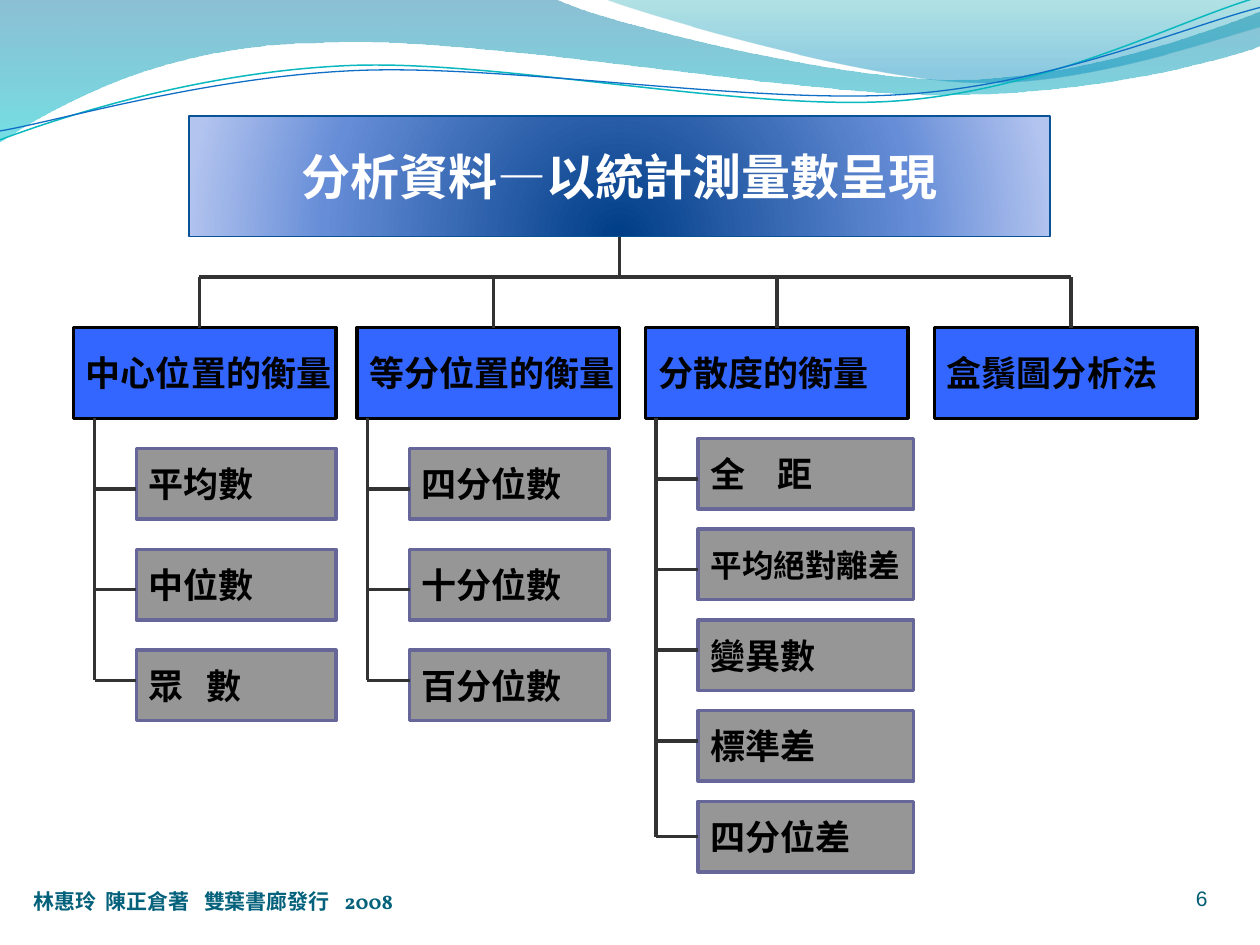
import math
import pptx
import pptx.util
import pptx.dml.color
import pptx.enum.shapes
import pptx.enum.text
import pptx.oxml
import pptx.oxml.ns
from lxml import etree

Pt = pptx.util.Pt
Kind = pptx.enum.shapes
Align = pptx.enum.text.PP_ALIGN
Anchor = pptx.enum.text.MSO_ANCHOR
qn = pptx.oxml.ns.qn

deck = pptx.Presentation()
deck.slide_width = pptx.util.Inches(10)
deck.slide_height = pptx.util.Inches(7.5)
COL = deck.slide_width / 120
ROW = deck.slide_height / 93.75


def hue(text):
    return pptx.dml.color.RGBColor.from_string(text)


def place(box):
    x, y, w, h = box
    return [round(v) for v in (x * COL, y * ROW, w * COL, h * ROW)]


def blend(shape, stops, shade):
    props = shape._element.spPr
    for tag in ("a:solidFill", "a:noFill", "a:gradFill"):
        for old in props.findall(qn(tag)):
            props.remove(old)
    fill = etree.Element(qn("a:gradFill"), rotWithShape="1")
    group = etree.SubElement(fill, qn("a:gsLst"))
    for pos, color, alpha in stops:
        stop = etree.SubElement(group, qn("a:gs"), pos=str(pos * 1000))
        tone = etree.SubElement(stop, qn("a:srgbClr"), val=color)
        if alpha < 100:
            etree.SubElement(tone, qn("a:alpha"), val=str(alpha * 1000))
    fill.append(shade)
    geom = props.find(qn("a:prstGeom"))
    if geom is None:
        geom = props.find(qn("a:custGeom"))
    geom.addnext(fill)


def down():
    return etree.Element(qn("a:lin"), ang="5400000", scaled="1")


def glow():
    shade = etree.Element(qn("a:path"), {"path": "circle"})
    etree.SubElement(shade, qn("a:fillToRect"),
                     l="50000", t="130000", r="50000", b="-30000")
    return shade


def write(shape, runs, size, color, bold=True, align=Align.LEFT,
          anchor=Anchor.MIDDLE, wrap=False, tabs=()):
    frame = shape.text_frame
    frame.word_wrap = wrap
    frame.vertical_anchor = anchor
    para = frame.paragraphs[0]
    para.alignment = align
    if tabs:
        stops = etree.SubElement(para._p.get_or_add_pPr(), qn("a:tabLst"))
        for tab in tabs:
            etree.SubElement(stops, qn("a:tab"), pos=str(round(tab * COL)), algn="l")
    for text, face in runs:
        run = para.add_run()
        run.text = text
        font = run.font
        font.name, font.size, font.bold = face, Pt(size), bold
        font.color.rgb = hue(color)
    return frame


def block(slide, box, fill, edge, width):
    shape = slide.shapes.add_shape(Kind.MSO_SHAPE.RECTANGLE, *place(box))
    shape.shadow.inherit = False
    shape.fill.solid()
    shape.fill.fore_color.rgb = hue(fill)
    shape.line.color.rgb = hue(edge)
    shape.line.width = Pt(width)
    return shape


def link(slide, x1, y1, x2, y2, start=None, end=None):
    ends = place((x1, y1, x2, y2))
    line = slide.shapes.add_connector(Kind.MSO_CONNECTOR.STRAIGHT, *ends)
    line.line.color.rgb = hue("333333")
    line.line.width = Pt(2)
    etree.SubElement(line._element.spPr, qn("a:effectLst"))
    if start:
        line.begin_connect(*start)
    if end:
        line.end_connect(*end)


def bend(shape, parts):
    track = next(shape._element.iter(qn("a:path")))
    legs = iter(track.findall(qn("a:lnTo")))
    for part in parts:
        leg = next(legs)
        if len(part) == 6:
            curve = etree.Element(qn("a:cubicBezTo"))
            leg.addprevious(curve)
            for step in (leg, next(legs), next(legs)):
                curve.append(step[0])
                track.remove(step)


def turn(dot, mid, angle):
    x, y = dot[0] - mid[0], dot[1] - mid[1]
    c, s = math.cos(math.radians(angle)), math.sin(math.radians(angle))
    return mid[0] + x * c - y * s, mid[1] + x * s + y * c


def wave(slide, box, parts, closed, mid=(0, 0), tilt=0):
    left, top, width, _ = place(box)
    unit = width / 10
    dots = [turn(part[i:i + 2], mid, tilt)
            for part in parts for i in range(0, len(part), 2)]
    dots = [(round(left + x * unit), round(top + y * unit)) for x, y in dots]
    maker = slide.shapes.build_freeform(*dots[0])
    maker.add_line_segments(dots[1:], close=closed)
    shape = maker.convert_to_shape()
    bend(shape, parts[1:])
    shape.rotation = -tilt
    shape.shadow.inherit = False
    shape.fill.background()
    shape.line.fill.background()
    return shape


def waves(slide, box):
    broad = [(0, -0.01), (4.4, -0.01), (4.76, 0.17, 6.64, 0.63, 7.58, 0.63),
             (8.53, 0.63, 9.58, 0.26, 10, 0.09), (10.01, 0.36),
             (9.83, 0.44, 8.7, 0.76, 7.46, 0.75),
             (6.22, 0.75, 3.82, 0.28, 2.57, 0.34),
             (1.29, 0.35, 0.46, 0.83, -0.01, 1.13)]
    blend(wave(slide, box, broad, True),
          [(0, "0074A1", 45), (100, "00C6CF", 55)], down())
    crest = [(4.79, -0.01), (5.09, 0.11, 6.82, 0.62, 7.69, 0.65),
             (8.56, 0.69, 9.61, 0.32, 10, 0.21), (10, 0)]
    blend(wave(slide, box, crest, True),
          [(0, "00A1A9", 30), (80, "008BBF", 45)], down())
    teal = [(0, 1.11), (0.48, 0.93, 1.58, 0.57, 2.77, 0.52),
            (3.95, 0.47, 5.93, 0.89, 7.13, 0.8), (8.33, 0.71, 9.38, 0.15, 9.98, -0.02)]
    blue = [(0, 1.04), (0.47, 0.96, 1.64, 0.61, 2.83, 0.56),
            (4.03, 0.51, 5.97, 0.83, 7.17, 0.75), (8.36, 0.67, 9.41, 0.21, 10, 0.06)]
    for parts, color, width, mid in ((teal, "0AB8BF", 0.85, (4.99, 0.57)),
                                     (blue, "0F6FC6", 0.75, (5, 0.59))):
        shape = wave(slide, box, parts, False, mid, 2.7)
        shape.line.color.rgb = hue(color)
        shape.line.width = Pt(width)


def title(slide, box):
    shape = block(slide, box, "003D87", "095295", 0.75)
    blend(shape, [(0, "003D87", 100), (68, "668DD7", 100), (100, "B3C4EF", 100)], glow())
    write(shape, [("分析資料", "Vollkorn"), ("—", "Noto Sans CJK SC"),
                  ("以統計測量數呈現", "Vollkorn")], 28, "FFFFFF", align=Align.CENTER)
    x, y, w, h = box
    mid, base = x + w / 2, y + h
    link(slide, mid, base, mid, base + 4, start=(shape, 2))


def branch(slide, box, name, drop, trunk=0, first=0, inset=0, width=0, pitch=0,
           items=(), stubs=()):
    x, y, w, h = box
    head = block(slide, box, "3366FF", "000000", 2)
    write(head, [(name, "Arial")], 20, "000000")
    link(slide, drop, y - 5, drop, y, end=(head, 0) if drop == x + w / 2 else None)
    if not items:
        return
    stem = x + trunk
    link(slide, stem, y + h, stem, stubs[-1])
    for i, (text, stub) in enumerate(zip(items, stubs)):
        top = first + i * pitch
        leaf = block(slide, (x + inset, top, width, 7), "969696", "666699", 2)
        tabs = {"眾\t數": (5.5,), "全\t距": (6.4,)}.get(text, ())
        write(leaf, [(text, "Arial")], 18 if len(text) > 5 else 20, "000000",
              wrap=bool(tabs), tabs=tabs)
        link(slide, stem, stub, x + inset, stub,
             end=(leaf, 1) if stub == top + 3.5 else None)


def chart(slide, box):
    x, y, w, h = box
    title(slide, (x + 11, y, 82, 12))
    link(slide, x + 12, y + 16, x + 95, y + 16)
    short = dict(first=y + 33, width=19, pitch=10,
                 stubs=[y + 37, y + 47, y + 56])
    top = y + 21
    branch(slide, (x, top, 25, 9), "中心位置的衡量", x + 12, trunk=2, inset=6,
           items=["平均數", "中位數", "眾\t數"], **short)
    branch(slide, (x + 27, top, 25, 9), "等分位置的衡量", x + 40, trunk=1, inset=5,
           items=["四分位數", "十分位數", "百分位數"], **short)
    branch(slide, (x + 54.5, top, 25, 9), "分散度的衡量", x + 67, trunk=1,
           first=y + 32, inset=5, width=20.5, pitch=9,
           items=["全\t距", "平均絕對離差", "變異數", "標準差", "四分位差"],
           stubs=[y + 36, y + 45, y + 53, y + 62, y + 71.5])
    branch(slide, (x + 82, top, 25, 9), "盒鬚圖分析法", x + 95)


def footer(slide, box):
    x, y, w, h = box
    note = slide.shapes.add_textbox(*place((x, y + 2.1, 40, 3.75)))
    write(note, [("林惠玲\t陳正倉著\t雙葉書廊發行\t2008", "Vollkorn")], 12, "04617B",
          anchor=Anchor.TOP, wrap=True, tabs=(6.85, 16.25, 29.65))
    page = slide.shapes.add_textbox(*place((x + w - 44, y, 44, 5)))
    frame = write(page, [("6", "Arial")], 12, "045D75", bold=False,
                  align=Align.RIGHT, anchor=Anchor.BOTTOM, wrap=True)
    frame.margin_left = frame.margin_right = 0
    frame.margin_top = frame.margin_bottom = 0


slide = deck.slides.add_slide(deck.slide_layouts[6])
waves(slide, (0, 0, 120, 93.75))
footer(slide, (2, 85.4, 113, 5.85))
chart(slide, (7, 11.5, 107, 75))
deck.save("out.pptx")
